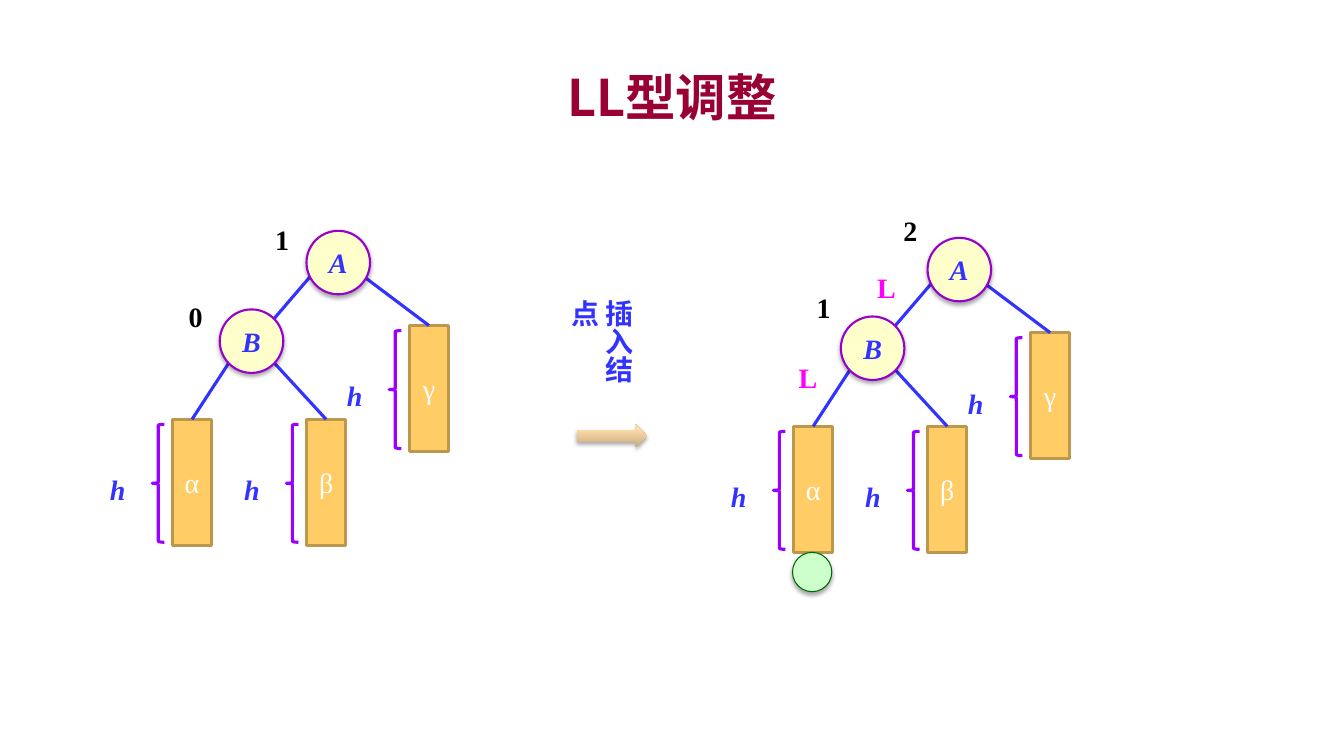
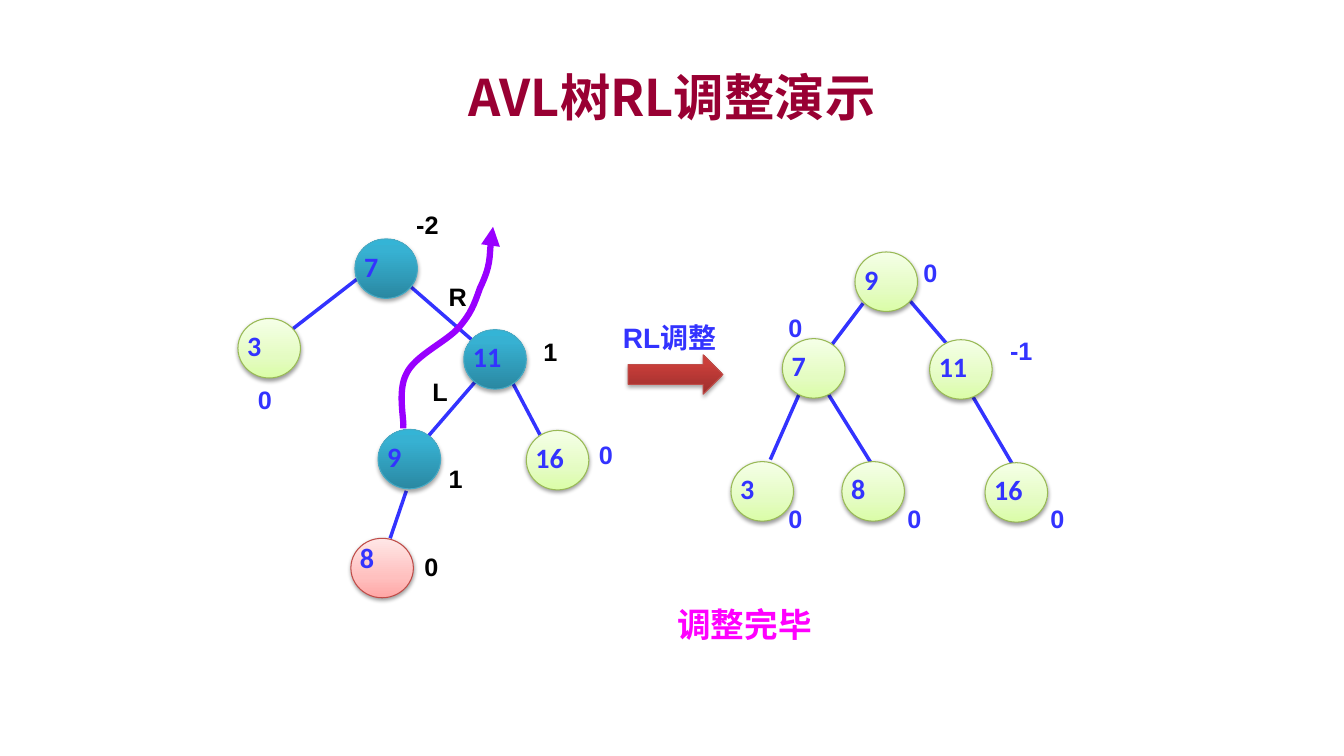
"""Builds two slides on rebalancing AVL trees: the LL case and an RL example."""
import pptx
import pptx.dml.color
import pptx.enum.shapes
import pptx.enum.text
import pptx.oxml.ns
import pptx.util
from lxml import etree

Inches = pptx.util.Inches
qn = pptx.oxml.ns.qn
SHAPE = pptx.enum.shapes.MSO_SHAPE
STRAIGHT = pptx.enum.shapes.MSO_CONNECTOR.STRAIGHT

TITLE_RED, BLUE, PURPLE, MAGENTA, BLACK = "990033", "3333FF", "9900FF", "FF00FF", "000000"
SERIF, SANS, CJK = "Times New Roman", "Arial", "Noto Sans CJK SC"
STRONG, SOFT = (35, 1.8), (38, 1.6)
SAND = [(0, "C6AA81"), (80, "FFDCAA"), (100, "FFDDAC")]
RED = [(0, "9C2F2D"), (80, "CB3E3A"), (100, "CE3B37")]
NODE_STYLES = {
    "teal": ([(0, "2A88A2"), (80, "37B1D2"), (100, "34B4D6")], "46AAC5", STRONG, 0.08),
    "green": ([(0, "DAFDA7"), (35, "E4FCC2"), (100, "F5FFE7")], "98B955", SOFT, 0.08),
    "pink": ([(0, "FFA6A5"), (35, "FFC0BF"), (100, "FFE7E7")], "BF4C48", SOFT, 0),
}


def paint(sp, fill=None, line=None, width=0.75, shadow=None):
    """Set a solid or gradient fill, the outline and the shadow."""
    if isinstance(fill, str):
        sp.fill.solid()
        sp.fill.fore_color.rgb = pptx.dml.color.RGBColor.from_string(fill)
    elif fill:
        sp.fill.gradient()
        sp.fill.gradient_angle = 90
        stops = sp._element.spPr.find(".//" + qn("a:gsLst"))
        stops.clear()
        for pos, color in fill:
            stop = etree.SubElement(stops, qn("a:gs"), pos=str(pos * 1000))
            etree.SubElement(stop, qn("a:srgbClr"), val=color)
    if line:
        sp.line.color.rgb = pptx.dml.color.RGBColor.from_string(line)
        sp.line.width = pptx.util.Pt(width)
    else:
        sp.line.fill.background()
    effects = etree.SubElement(sp._element.spPr, qn("a:effectLst"))
    if shadow:
        alpha, distance = shadow
        outer = etree.SubElement(effects, qn("a:outerShdw"), blurRad=str(pptx.util.Pt(3.1)),
                                 dist=str(pptx.util.Pt(distance)), dir="5400000", rotWithShape="0")
        black = etree.SubElement(outer, qn("a:srgbClr"), val=BLACK)
        etree.SubElement(black, qn("a:alpha"), val=str(alpha * 1000))


def write(sp, text, size, font, color, bold=True, italic=False, center=False, top=None, spacing=None):
    """Put one paragraph in a shape; a top inset also clears the other insets."""
    tf = sp.text_frame
    tf.word_wrap = True
    tf.vertical_anchor = pptx.enum.text.MSO_ANCHOR.MIDDLE if center else pptx.enum.text.MSO_ANCHOR.TOP
    if top is not None:
        tf.margin_left = tf.margin_right = tf.margin_bottom = 0
        tf.margin_top = Inches(top)
    p = tf.paragraphs[0]
    p.text = text
    p.alignment = pptx.enum.text.PP_ALIGN.CENTER if center else pptx.enum.text.PP_ALIGN.LEFT
    p.line_spacing = spacing
    p.font.size = pptx.util.Pt(size)
    p.font.bold = bold
    p.font.italic = italic
    p.font.color.rgb = pptx.dml.color.RGBColor.from_string(color)
    p.font.name = font
    etree.SubElement(p._p.pPr.find(qn("a:defRPr")), qn("a:ea"), typeface=CJK)


prs = pptx.Presentation()
prs.slide_width, prs.slide_height = Inches(13.33), Inches(7.5)
for title in ("LL型调整", "AVL树RL调整演示"):
    slide = prs.slides.add_slide(prs.slide_layouts[6])
    sp = slide.shapes.add_textbox(Inches(1), Inches(0.58), Inches(11.33), Inches(0.75))
    write(sp, title, 36, CJK, TITLE_RED, center=True)
ll_shapes, rl_shapes = (slide.shapes for slide in prs.slides)

labels = [("1", 2.73, 2.21, BLACK), ("0", 1.87, 2.97, BLACK),
          ("2", 8.96, 2.12, BLACK), ("1", 8.1, 2.88, BLACK),
          ("L", 7.92, 3.58, MAGENTA), ("L", 8.7, 2.68, MAGENTA)]
for dx, dy in ((0, 0), (6.16, 0.07)):
    edge = ll_shapes.add_connector(STRAIGHT, Inches(3.08 + dx), Inches(2.74 + dy),
                                   Inches(2.72 + dx), Inches(3.16 + dy))
    paint(edge, line=BLUE, width=2.25)
    for name, x, y, start_x, start_y in (("α", 1.71, 4.16, 2.27, 3.6),
                                         ("β", 3.04, 4.16, 2.72, 3.6),
                                         ("γ", 4.06, 3.23, 3.63, 2.76)):
        x, y = x + dx, y + dy
        subtree = ll_shapes.add_shape(SHAPE.RECTANGLE, Inches(x), Inches(y), Inches(0.39), Inches(1.25))
        paint(subtree, "FFCC66", "BD974B", 2)
        write(subtree, name, 20, SERIF, "FFFFFF", bold=False, center=True)
        brace = ll_shapes.add_shape(SHAPE.LEFT_BRACE, Inches(x - 0.2), Inches(y + 0.05),
                                    Inches(0.12), Inches(1.17))
        brace.fill.background()
        paint(brace, line=PURPLE, width=2.25)
        edge = ll_shapes.add_connector(STRAIGHT, Inches(start_x + dx), Inches(start_y + dy),
                                       Inches(x + 0.2), Inches(y))
        edge.end_connect(subtree, 0)
        paint(edge, line=BLUE, width=2.25)
        labels.append(("h", x - 0.62, y + 0.53, BLUE))
    for name, x, y in (("B", 2.18, 3.07), ("A", 3.04, 2.29)):
        node = ll_shapes.add_shape(SHAPE.OVAL, Inches(x + dx), Inches(y + dy), Inches(0.63), Inches(0.63))
        paint(node, "FFFFCC", "9900CC", 1.5, STRONG)
        write(node, name, 20, SERIF, BLUE, italic=True, center=True)

for text, x, y, color in labels:
    sp = ll_shapes.add_textbox(Inches(x), Inches(y), Inches(0.39), Inches(0.34))
    write(sp, text, 20, SERIF, color, italic=text == "h", top=0)

new_node = ll_shapes.add_shape(SHAPE.OVAL, Inches(7.86), Inches(5.48), Inches(0.39), Inches(0.39))
paint(new_node, "CCFFCC", "006600", shadow=STRONG)
arrow = ll_shapes.add_shape(SHAPE.RIGHT_ARROW, Inches(5.72), Inches(4.21), Inches(0.7), Inches(0.23))
paint(arrow, SAND, shadow=STRONG)
caption = ll_shapes.add_textbox(Inches(5.81), Inches(2.88), Inches(0.54), Inches(1.25))
write(caption, "插入结点", 20, SERIF, BLUE)
caption.text_frame.auto_size = pptx.enum.text.MSO_AUTO_SIZE.SHAPE_TO_FIT_TEXT
caption.text_frame._txBody.bodyPr.set("vert", "eaVert")

for x1, y1, x2, y2 in ((4.08, 2.85, 4.69, 3.38), (3.54, 2.77, 2.83, 3.32), (4.72, 3.78, 4.15, 4.44),
                       (5.08, 3.79, 5.37, 4.34), (4.03, 4.87, 3.87, 5.34), (8.19, 3.87, 8.65, 4.61),
                       (7.93, 3.9, 7.64, 4.56), (8.56, 3.01, 8.16, 3.54), (9.03, 2.99, 9.39, 3.41),
                       (9.64, 3.92, 10.05, 4.62)):
    edge = rl_shapes.add_connector(STRAIGHT, Inches(x1), Inches(y1), Inches(x2), Inches(y2))
    paint(edge, line=BLUE, width=2.5)

for key, x, y, style in (("7", 3.52, 2.37, "teal"), ("3", 2.36, 3.16, "green"), ("11", 4.6, 3.27, "teal"),
                         ("9", 3.75, 4.26, "teal"), ("16", 5.22, 4.27, "green"), ("8", 3.48, 5.34, "pink"),
                         ("8", 8.35, 4.58, "green"), ("3", 7.25, 4.58, "green"), ("9", 8.48, 2.5, "green"),
                         ("7", 7.76, 3.36, "green"), ("11", 9.22, 3.37, "green"), ("16", 9.77, 4.59, "green")):
    fill, line, shadow, top = NODE_STYLES[style]
    node = rl_shapes.add_shape(SHAPE.OVAL, Inches(x), Inches(y), Inches(0.62), Inches(0.59))
    paint(node, fill, line, shadow=shadow)
    write(node, key, 20, "Calibri", BLUE, top=top, spacing=0.8)

for text, x, y, width, color in (
        ("R", 4.35, 2.74, 0.39, BLACK), ("L", 4.19, 3.68, 0.39, BLACK), ("0", 4.11, 5.42, 0.31, BLACK),
        ("1", 4.35, 4.55, 0.31, BLACK), ("0", 5.84, 4.31, 0.31, BLUE), ("1", 5.29, 3.29, 0.31, BLACK),
        ("0", 2.46, 3.76, 0.31, BLUE), ("-2", 4.03, 2.03, 0.47, BLACK), ("0", 7.72, 4.94, 0.31, BLUE),
        ("0", 8.9, 4.94, 0.31, BLUE), ("0", 10.32, 4.94, 0.31, BLUE), ("0", 9.06, 2.5, 0.31, BLUE),
        ("0", 7.72, 3.05, 0.31, BLUE), ("-1", 9.92, 3.28, 0.55, BLUE)):
    sp = rl_shapes.add_textbox(Inches(x), Inches(y), Inches(width), Inches(0.4))
    write(sp, text, 18, SANS, color)

builder = rl_shapes.build_freeform(Inches(4), Inches(4.25))
builder.add_line_segments([(Inches(x), Inches(y)) for x, y in (
    (4.01, 4.16), (3.94, 3.88), (4.03, 3.71), (4.11, 3.53), (4.43, 3.39), (4.55, 3.25),
    (4.67, 3.11), (4.7, 3.03), (4.76, 2.86), (4.87, 2.63), (4.86, 2.38), (4.89, 2.25))], close=False)
curve = builder.convert_to_shape()
segments = curve._element.spPr.findall(".//" + qn("a:lnTo"))
for i in range(0, len(segments), 3):
    bezier = etree.Element(qn("a:cubicBezTo"))
    segments[i].addprevious(bezier)
    for segment in segments[i:i + 3]:
        bezier.append(segment[0])
        segment.getparent().remove(segment)
curve.fill.background()
paint(curve, line=PURPLE, width=4.5)
etree.SubElement(curve._element.spPr.find(qn("a:ln")), qn("a:tailEnd"), type="triangle")

arrow = rl_shapes.add_shape(SHAPE.RIGHT_ARROW, Inches(6.23), Inches(3.52), Inches(0.94), Inches(0.39))
paint(arrow, RED, "BF4C48", shadow=STRONG)
for text, x, y, width, height, size, color in (("RL调整", 6.08, 3.13, 1.25, 0.44, 20, BLUE),
                                               ("调整完毕", 6.62, 5.94, 1.89, 0.5, 24, MAGENTA)):
    sp = rl_shapes.add_textbox(Inches(x), Inches(y), Inches(width), Inches(height))
    write(sp, text, size, SANS, color)

prs.save("out.pptx")
